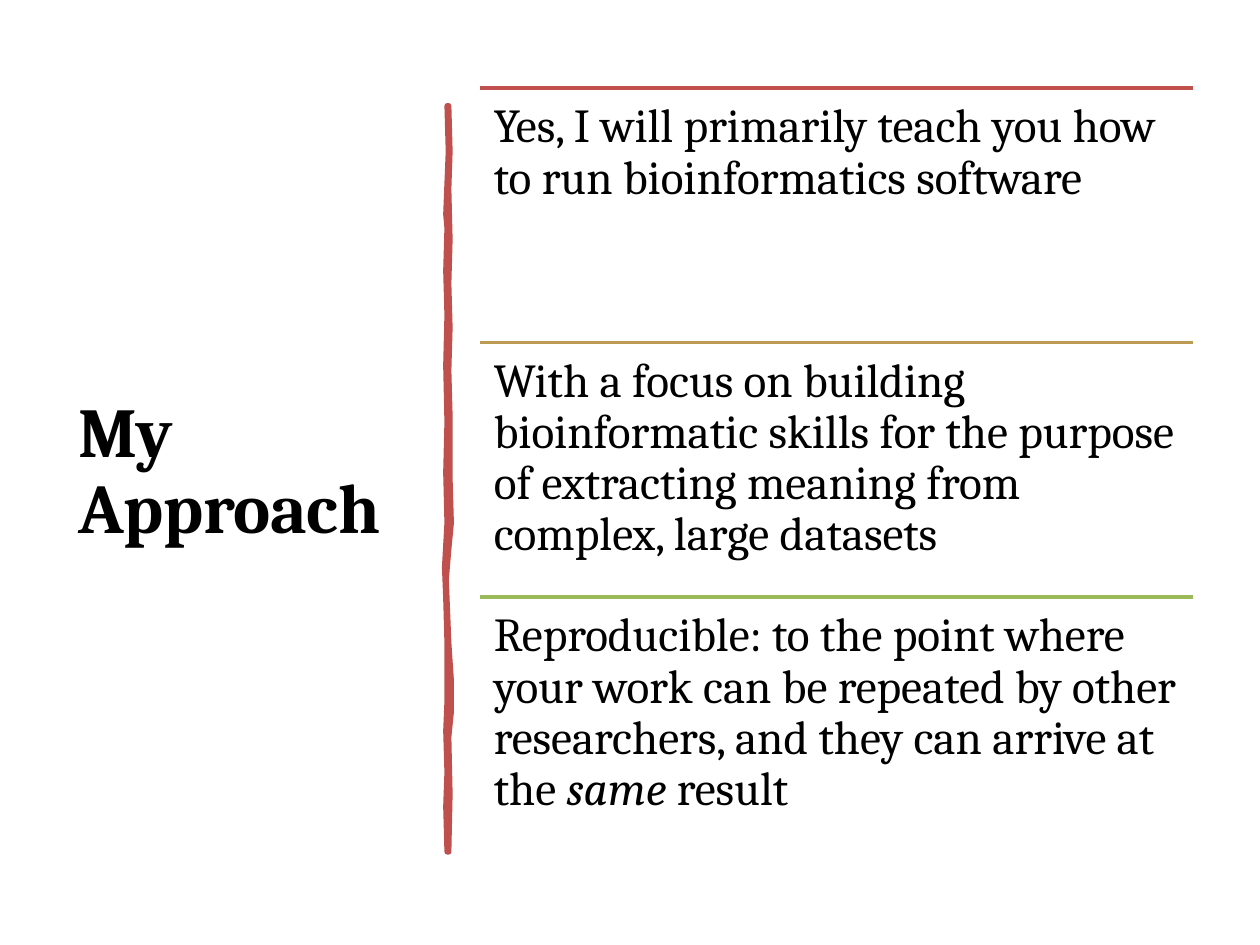
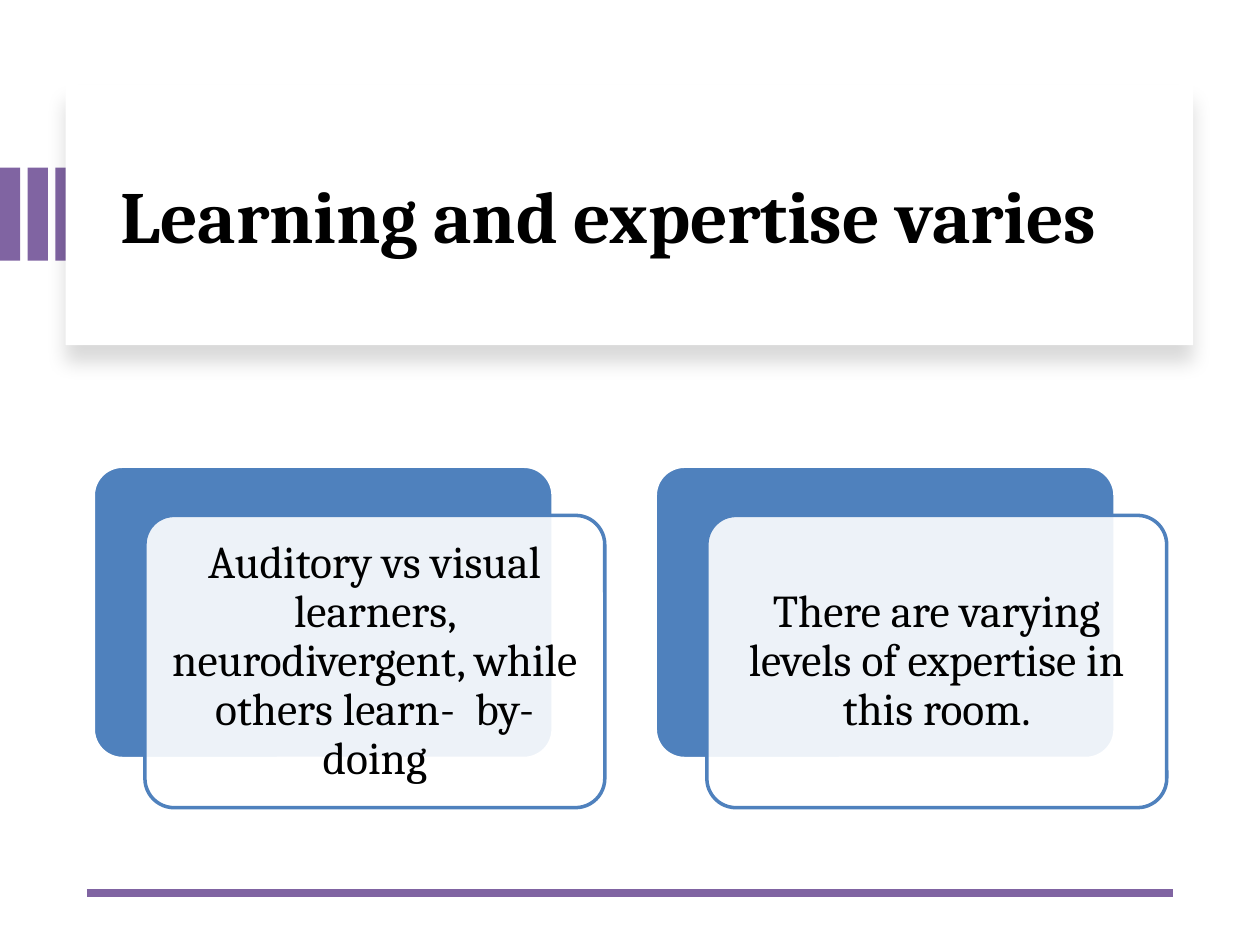
"""Build two slides on a teaching approach and on varied learners."""
import lxml.etree
import pptx
import pptx.dml.color
import pptx.enum.shapes
import pptx.enum.text
import pptx.oxml
import pptx.oxml.ns
import pptx.util

Inches = pptx.util.Inches
Pt = pptx.util.Pt
Shape = pptx.enum.shapes.MSO_SHAPE
Align = pptx.enum.text.PP_ALIGN
Anchor = pptx.enum.text.MSO_ANCHOR
qn = pptx.oxml.ns.qn

FONT = "Cambria"
BLACK, WHITE, RED, BLUE, PURPLE = "000000", "FFFFFF", "C0504D", "4F81BD", "8064A2"

APPROACH_TITLE = "My Approach"
APPROACH_POINTS = [
    (RED, "Yes, I will primarily teach you how to run bioinformatics software"),
    ("BD9B53", "With a focus on building bioinformatic skills for the purpose of "
               "extracting meaning from complex, large datasets"),
    ("9BBB59", "Reproducible: to the point where your work can be repeated by other "
               "researchers, and they can arrive at the *same* result"),
]
LEARNING_TITLE = "Learning and expertise varies"
LEARNING_CARDS = [
    "Auditory vs visual learners, neurodivergent, while others learn-  by-doing",
    "There are varying levels of expertise in this room.",
]
STROKE_RIGHT = [
    (3.56, 0.84), (3.57, 1.2), (3.56, 1.5), (3.57, 1.9), (3.56, 2.25), (3.57, 2.6),
    (3.56, 2.94), (3.57, 3.3), (3.57, 3.5), (3.57, 3.8), (3.58, 4.15), (3.56, 4.36),
    (3.54, 4.6), (3.56, 5.1), (3.58, 5.4), (3.58, 5.65), (3.56, 5.85), (3.57, 6.3),
    (3.56, 6.76),
]
STROKE_LEFT = [
    (3.55, 6.76), (3.54, 6.4), (3.55, 6.13), (3.54, 5.8), (3.55, 5.57), (3.55, 5.1),
    (3.54, 4.75), (3.53, 4.5), (3.55, 4.15), (3.54, 3.75), (3.55, 3.35), (3.54, 2.9),
    (3.55, 2.5), (3.54, 2.15), (3.55, 1.81), (3.54, 1.7), (3.56, 1.2), (3.55, 0.84),
]


def rgb(color):
    """Turn a hex string into a colour."""
    return pptx.dml.color.RGBColor.from_string(color)


def write(frame, text, size, bold=False, align=Align.LEFT, anchor=Anchor.TOP,
          inset=None, tracking=None):
    """Write one paragraph, with starred words in italics."""
    frame.word_wrap = True
    frame.auto_size = pptx.enum.text.MSO_AUTO_SIZE.NONE
    frame.vertical_anchor = anchor
    if inset is not None:
        frame.margin_left = frame.margin_right = Inches(inset)
        frame.margin_top = frame.margin_bottom = Inches(inset)
    paragraph = frame.paragraphs[0]
    paragraph.alignment = align
    paragraph.line_spacing = 0.9
    for index, part in enumerate(text.split("*")):
        run = paragraph.add_run()
        run.text = part
        run.font.name, run.font.size, run.font.bold = FONT, Pt(size), bold
        run.font.italic = index % 2 == 1
        run.font.color.rgb = rgb(BLACK)
        if tracking is not None:
            run.font._element.set("spc", str(int(tracking * 100)))


def add_title(slide, text, box, size):
    """Place the title placeholder in front of what is drawn so far."""
    title = slide.shapes.title
    title.left, title.top, title.width, title.height = map(Inches, box)
    slide.shapes._spTree.append(title._element)
    write(title.text_frame, text, size, bold=True, anchor=Anchor.MIDDLE, tracking=-0.1)


def add_text(slide, text, box, size, **style):
    """Add a text box with an even inset."""
    frame = slide.shapes.add_textbox(*map(Inches, box)).text_frame
    write(frame, text, size, inset=0.11, **style)


def paint(shape, fill, line=None, width=2):
    """Give a shape its fill and outline, without a shadow."""
    shape.shadow.inherit = False
    shape.fill.solid()
    shape.fill.fore_color.rgb = rgb(fill)
    if line:
        shape.line.color.rgb = rgb(line)
        shape.line.width = Pt(width)
    else:
        shape.line.fill.background()
    return shape


def add_block(slide, kind, box, fill, line=None):
    """Add a painted preset shape."""
    block = paint(slide.shapes.add_shape(kind, *map(Inches, box)), fill, line)
    if kind == Shape.ROUNDED_RECTANGLE:
        block.adjustments[0] = 0.1
    return block


def add_rule(slide, left, right, top, color, width):
    """Add a horizontal line."""
    rule = slide.shapes.add_connector(
        pptx.enum.shapes.MSO_CONNECTOR.STRAIGHT,
        Inches(left), Inches(top), Inches(right), Inches(top))
    rule.line.color.rgb = rgb(color)
    rule.line.width = Pt(width)
    lxml.etree.SubElement(rule._element.spPr, qn("a:effectLst"))


def set_alpha(color_element, percent):
    """Set the opacity of a colour element."""
    lxml.etree.SubElement(color_element, qn("a:alpha"), val=str(percent * 1000))


def cast_shadow(shape, opacity, blur, distance):
    """Drop a soft black shadow straight down."""
    effects = shape._element.spPr.find(qn("a:effectLst"))
    shadow = lxml.etree.SubElement(
        effects, qn("a:outerShdw"), blurRad=str(Pt(blur)), dist=str(Pt(distance)),
        dir="5400000", algn="t", rotWithShape="0")
    set_alpha(lxml.etree.SubElement(shadow, qn("a:srgbClr"), val=BLACK), opacity)


def build_approach(slide):
    """Build the title, the brush stroke and the ruled points."""
    add_title(slide, APPROACH_TITLE, (0.52, 0.7, 2.8, 6.11), 40)
    outline = [(Inches(x), Inches(y)) for x, y in STROKE_RIGHT + STROKE_LEFT]
    builder = slide.shapes.build_freeform(*outline[0])
    builder.add_line_segments(outline[1:], close=True)
    stroke = paint(builder.convert_to_shape(), RED, RED, 3.25)
    lxml.etree.SubElement(stroke.line._get_or_add_ln(), qn("a:round"))
    left, top, width, height = 3.81, 0.7, 5.66, 2.02
    for index, (color, point) in enumerate(APPROACH_POINTS):
        row_top = top + index * height
        add_rule(slide, left, left + width, row_top, color, 2)
        add_text(slide, point, (left, row_top, width, height), 27)


def build_learning(slide):
    """Build the title panel, the side bars and the layered cards."""
    for index in range(3):
        add_block(slide, Shape.RECTANGLE, (index * 0.22, 1.33, 0.16, 0.74), PURPLE)
    panel = add_block(slide, Shape.RECTANGLE, (0.52, 0.67, 8.95, 2.07), WHITE)
    cast_shadow(panel, opacity=15, blur=11, distance=10)
    add_title(slide, LEARNING_TITLE, (0.86, 0.89, 8.34, 1.7), 42)
    add_rule(slide, 0.69, 9.31, 7.09, PURPLE, 4.5)
    top, width, height, pad = 3.7, 3.65, 2.32, 0.07
    for index, card in enumerate(LEARNING_CARDS):
        left = 0.74 + index * 4.46
        add_block(slide, Shape.ROUNDED_RECTANGLE, (left, top, width, height), BLUE, WHITE)
        front_left, front_top = left + 0.41, top + 0.39
        front = add_block(slide, Shape.ROUNDED_RECTANGLE,
                          (front_left, front_top, width, height), WHITE, BLUE)
        set_alpha(front._element.spPr.find(qn("a:solidFill"))[0], 90)
        add_text(slide, card, (front_left + pad, front_top + pad,
                               width - 2 * pad, height - 2 * pad),
                 26, align=Align.CENTER, anchor=Anchor.MIDDLE)


def main():
    """Build and save the presentation."""
    deck = pptx.Presentation()
    deck.slide_width, deck.slide_height = Inches(10), Inches(7.5)
    for build in (build_approach, build_learning):
        slide = deck.slides.add_slide(deck.slide_layouts[5])
        slide.background.fill.solid()
        slide.background.fill.fore_color.rgb = rgb(WHITE)
        build(slide)
    deck.save("out.pptx")


if __name__ == "__main__":
    main()
